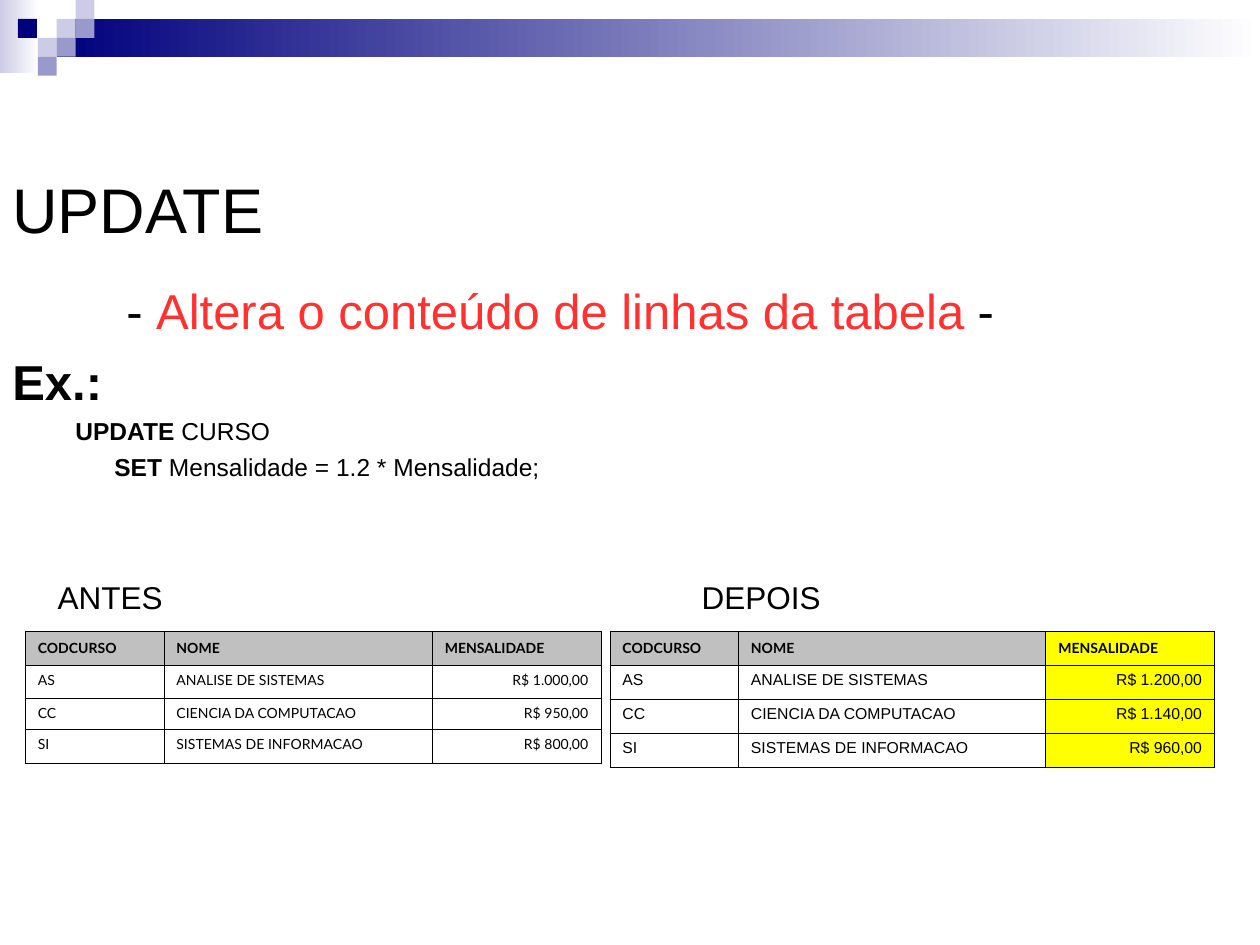
import pptx
import pptx.dml.color
import pptx.enum.shapes
import pptx.enum.text
import pptx.oxml
import pptx.util
from lxml import etree

ALIGN = pptx.enum.text.PP_ALIGN
ANCHOR = pptx.enum.text.MSO_ANCHOR
RECTANGLE = pptx.enum.shapes.MSO_SHAPE.RECTANGLE


def color(value):
    return pptx.dml.color.RGBColor.from_string(value)


def write(para, text, size=14, font="Arial", ink="000000", bold=False):
    span = para.add_run()
    span.text = text
    span.font.size = pptx.util.Pt(size)
    span.font.name = font
    span.font.bold = bold
    span.font.color.rgb = color(ink)


deck = pptx.Presentation()
deck.slide_width = pptx.util.Inches(10)
deck.slide_height = pptx.util.Inches(7.5)
page = deck.slides.add_slide(deck.slide_layouts[6])
width, height = deck.slide_width, deck.slide_height
unit = width * 0.015  # side of one decoration square

# Header decoration: column, row, columns wide, rows high, colours
decoration = [
    (0, 0, 2.07, 3.87, ["CCCCE6", "FFFFFF"]),
    (3, 1, 63.67, 2, ["00007D", "FFFFFF"]),
    (3, 1, 1, 1, ["CCCCE6"]),
    (4, 0, 1, 1, ["CCCCE6"]),
    (4, 1, 1, 1, ["9999CC"]),
    (2, 2, 1, 1, ["CCCCE6"]),
    (0.95, 1, 1, 1, ["00007D"]),
    (3, 2, 1, 1, ["9999CC"]),
    (2, 3, 1, 1, ["9999CC"]),
]
for column, row, wide, high, colors in decoration:
    block = page.shapes.add_shape(
        RECTANGLE, *(int(n * unit) for n in (column, row, wide, high)))
    block.shadow.inherit = False
    block.line.fill.background()
    if len(colors) == 1:
        block.fill.solid()
        block.fill.fore_color.rgb = color(colors[0])
    else:
        block.fill.gradient()
        block.fill.gradient_angle = 0
        for stop, value in zip(block.fill.gradient_stops, colors):
            stop.color.rgb = color(value)

# Title
title = page.shapes.add_textbox(0, int(height / 15), int(width * 0.9), int(height * 0.2))
title.text_frame.word_wrap = True
title.text_frame.vertical_anchor = ANCHOR.BOTTOM
write(title.text_frame.paragraphs[0], "UPDATE", size=36)

# Explanation and SQL example: space before, left margin, alignment, spans
lines = [
    (0, 0, ALIGN.CENTER, [("- ", {"size": 28}),
                          ("Altera o conteúdo de linhas da tabela", {"size": 28, "ink": "FF3131"}),
                          (" - ", {"size": 28})]),
    (7, 0, ALIGN.LEFT, [("Ex.:", {"size": 28, "bold": True})]),
    (3.5, 0.5, ALIGN.LEFT, [("UPDATE", {"bold": True}), (" CURSO", {})]),
    (3.5, 0.81, ALIGN.LEFT, [("SET", {"bold": True}),
                             (" Mensalidade = 1.2 * Mensalidade;", {})]),
]
body = page.shapes.add_textbox(0, int(height * 0.29), int(width * 0.9), int(height * 0.26))
body.text_frame.word_wrap = True
for index, (space, margin, align, spans) in enumerate(lines):
    para = body.text_frame.add_paragraph() if index else body.text_frame.paragraphs[0]
    para._p.get_or_add_pPr().set("marL", str(pptx.util.Inches(margin)))
    para.alignment = align
    if space:
        para.space_before = pptx.util.Pt(space)
    for text, style in spans:
        write(para, text, **style)

# Before and after: label with its table
courses = [("AS", "ANALISE DE SISTEMAS"),
           ("CC", "CIENCIA DA COMPUTACAO"),
           ("SI", "SISTEMAS DE INFORMACAO")]
header = ("CODCURSO", "NOME", "MENSALIDADE")
panels = [
    dict(label="ANTES", label_left=0.036, label_width=0.11, left=0.02,
         columns=(0.11, 0.213, 0.134), rows=(0.27, 0.26, 0.25, 0.27),
         fees=("R$ 1.000,00", "R$ 950,00", "R$ 800,00"),
         fee_fills=("C0C0C0", "FFFFFF"), style={"size": 8, "font": "Lato"}),
    dict(label="DEPOIS", label_left=0.547, label_width=0.327, left=0.484,
         columns=(0.102, 0.244, 0.134), rows=(0.27,) * 4,
         fees=("R$ 1.200,00", "R$ 1.140,00", "R$ 960,00"),
         fee_fills=("FFFF00", "FFFF00"), style={"size": 9, "font": "Arial"}),
]
for panel in panels:
    label = page.shapes.add_textbox(
        int(width * panel["label_left"]), int(height * 0.605),
        int(width * panel["label_width"]), int(height * 0.053))
    label.fill.solid()
    label.fill.fore_color.rgb = color("FFFFFF")
    label.text_frame.word_wrap = True
    label.text_frame.vertical_anchor = ANCHOR.MIDDLE
    write(label.text_frame.paragraphs[0], panel["label"], size=18)

    table = page.shapes.add_table(
        4, 3, int(width * panel["left"]), int(height * 0.668),
        int(width * sum(panel["columns"])), pptx.util.Inches(sum(panel["rows"]))).table
    for column, share in zip(table.columns, panel["columns"]):
        column.width = int(width * share)
    for row, high in zip(table.rows, panel["rows"]):
        row.height = pptx.util.Inches(high)

    records = [header] + [(*course, fee) for course, fee in zip(courses, panel["fees"])]
    for r, record in enumerate(records):
        for c, text in enumerate(record):
            cell = table.cell(r, c)
            para = cell.text_frame.paragraphs[0]
            if r == 0:
                cell.vertical_anchor = ANCHOR.MIDDLE
                write(para, text, size=8, font="Lato", bold=True)
            else:
                para.alignment = ALIGN.RIGHT if c == 2 else ALIGN.LEFT
                write(para, text, **panel["style"])
            # Borders come before the fill in the cell properties
            properties = cell._tc.get_or_add_tcPr()
            for side in ("lnL", "lnR", "lnT", "lnB"):
                edge = etree.SubElement(properties, pptx.oxml.ns.qn("a:" + side),
                                        w=str(pptx.util.Pt(0.34)))
                paint = etree.SubElement(edge, pptx.oxml.ns.qn("a:solidFill"))
                etree.SubElement(paint, pptx.oxml.ns.qn("a:srgbClr"), val="000000")
            fills = panel["fee_fills"] if c == 2 else ("C0C0C0", "FFFFFF")
            cell.fill.solid()
            cell.fill.fore_color.rgb = color(fills[min(r, 1)])

deck.save("out.pptx")
